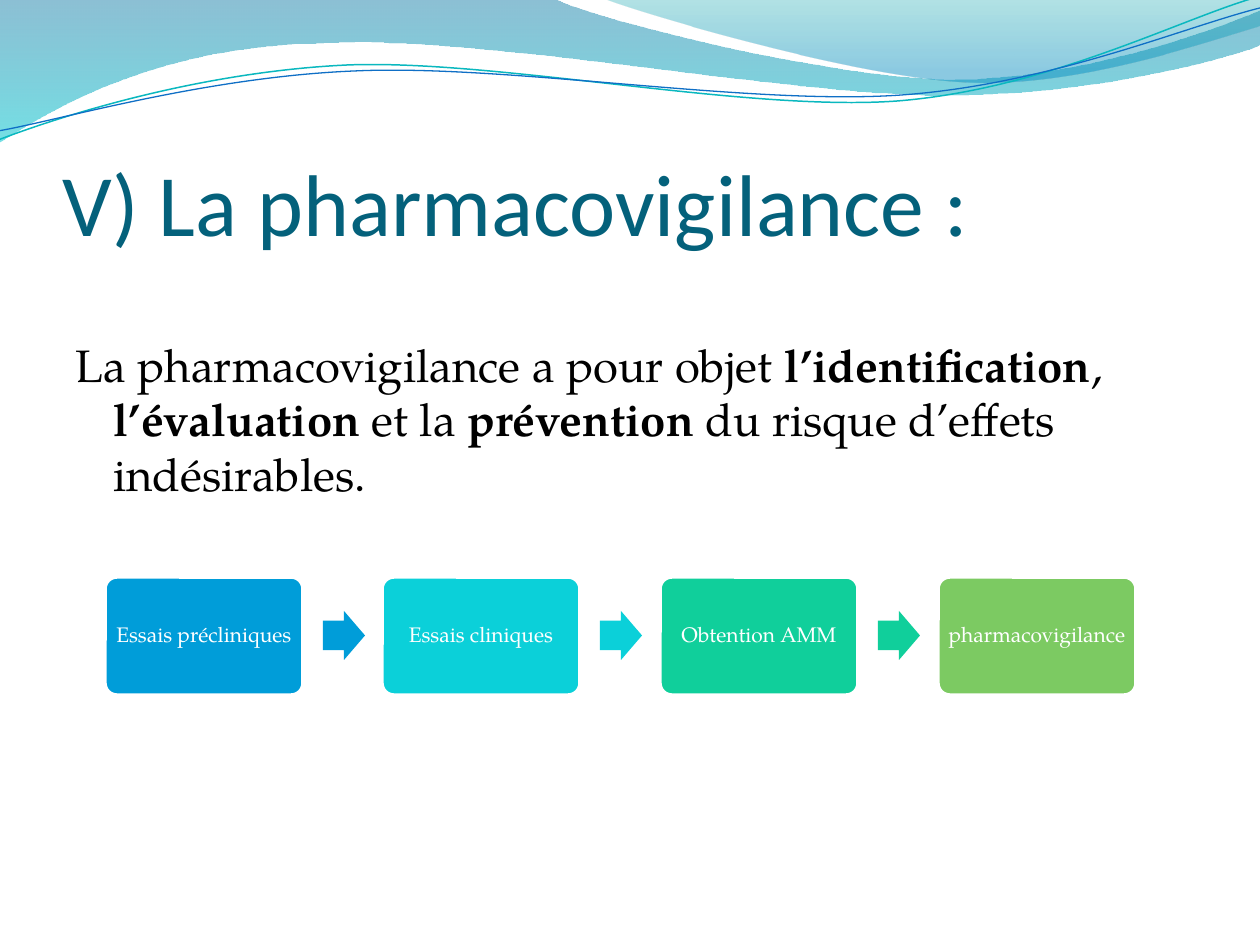
from lxml.etree import SubElement
from pptx import Presentation
from pptx.dml.color import RGBColor
from pptx.enum.shapes import MSO_SHAPE
from pptx.enum.text import MSO_ANCHOR, PP_ALIGN
from pptx.oxml.ns import qn
from pptx.util import Pt

PX = 914400 / 126
WHITE = RGBColor(0xFF, 0xFF, 0xFF)
BLACK = RGBColor(0, 0, 0)
TITLE = RGBColor(0x04, 0x61, 0x7B)
BLUE = RGBColor(0x00, 0x9D, 0xD9)
CYAN = RGBColor(0x0B, 0xD0, 0xD9)
TEAL = RGBColor(0x10, 0xCF, 0x9B)
GREEN = RGBColor(0x7C, 0xCA, 0x62)
SERIF = "TeX Gyre Pagella"

prs = Presentation()
prs.slide_width, prs.slide_height = round(1260 * PX), round(945 * PX)
slide = prs.slides.add_slide(prs.slide_layouts[6])
shapes = slide.shapes


def px(*nums):
    return [round(n * PX) for n in nums]


def curve(start, *parts, close=False):
    """Draw straight parts (one point) and cubic Bezier parts (three points)."""
    pen = shapes.build_freeform(*px(*start))
    for part in parts:
        pts = [px(*part[i:i + 2]) for i in range(0, len(part), 2)]
        pen.add_line_segments(pts, close=close and part is parts[-1])
    shape = pen.convert_to_shape()
    shape.shadow.inherit = False
    # Join each three segments of a cubic part into one Bezier segment
    lines = iter(list(shape.element.spPr.iter(qn("a:lnTo"))))
    for part in parts:
        group = [next(lines) for _ in range(len(part) // 2)]
        if len(group) == 3:
            bend = group[0].makeelement(qn("a:cubicBezTo"))
            group[0].addprevious(bend)
            for line in group:
                bend.append(line[0])
                line.getparent().remove(line)
    return shape


# Header waves: position, colour and opacity of each gradient stop
back = curve((-1, 0), (554, -1), (600, 21, 837, 79, 955, 79),
             (1075, 79, 1207, 33, 1260, 11), (1261, 45),
             (1239, 55, 1096, 96, 940, 95), (784, 95, 481, 35, 324, 43),
             (163, 45, 58, 105, -1, 142), close=True)
front = curve((604, -1), (641, 14, 859, 78, 969, 82),
              (1079, 87, 1211, 40, 1260, 26), (1260, 0), close=True)
fades = [
    (back, [(0, RGBColor(0x00, 0x74, 0xA1), 45), (1, RGBColor(0x00, 0xC6, 0xCF), 55)]),
    (front, [(0, RGBColor(0x00, 0xA1, 0xA9), 30), (0.8, RGBColor(0x00, 0x8B, 0xBF), 45)]),
]
for wave, stops in fades:
    wave.line.fill.background()
    wave.fill.gradient()
    wave.fill.gradient_angle = 270
    for stop, (pos, color, _) in zip(wave.fill.gradient_stops, stops):
        stop.position, stop.color.rgb = pos, color
    tints = list(wave.element.spPr.iter(qn("a:srgbClr")))
    for tint, (_, _, alpha) in zip(tints, stops):
        SubElement(tint, qn("a:alpha"), val=str(alpha * 1000))

# Header lines
upper = curve((-2, 140), (58, 117, 197, 72, 347, 65),
              (496, 59, 745, 112, 897, 101), (1048, 89, 1180, 19, 1257, -3))
lower = curve((-2, 131), (57, 121, 205, 77, 355, 71),
              (506, 64, 751, 106, 902, 95), (1052, 84, 1184, 27, 1260, 8))
for wave, color, width in [(upper, RGBColor(0x0A, 0xB8, 0xBF), 0.85),
                           (lower, RGBColor(0x0F, 0x6F, 0xC6), 0.75)]:
    wave.fill.background()
    wave.line.color.rgb, wave.line.width = color, Pt(width)

# Title
frame = shapes.add_textbox(*px(63, 97, 1134, 157)).text_frame
frame.word_wrap = True
frame.vertical_anchor = MSO_ANCHOR.BOTTOM
frame.margin_left = frame.margin_right = frame.margin_bottom = 0
frame.text = "V) La pharmacovigilance :"
font = frame.paragraphs[0].runs[0].font
font.name, font.size, font.color.rgb = "Calibri", Pt(50), TITLE

# Body with hanging indent
frame = shapes.add_textbox(*px(63, 267, 1134, 605)).text_frame
frame.word_wrap = True
frame.margin_top = px(70)[0]
para = frame.paragraphs[0]
props = para._p.get_or_add_pPr()
props.set("marL", str(px(38)[0]))
props.set("indent", str(px(-38)[0]))
words = ["La pharmacovigilance a pour objet ", "l’identification", ", ",
         "l’évaluation", " et la ", "prévention",
         " du risque d’effets indésirables."]
for i, word in enumerate(words):
    run = para.add_run()
    run.text = word
    font = run.font
    font.name, font.size, font.color.rgb = SERIF, Pt(26), BLACK
    font.bold = i % 2 == 1

# Process steps, each but the last followed by an arrow
steps = [("Essais précliniques", BLUE), ("Essais cliniques", CYAN),
         ("Obtention AMM", TEAL), ("pharmacovigilance", GREEN)]
for i, (label, color) in enumerate(steps):
    left = 105 + 833 * i // 3
    box = shapes.add_shape(MSO_SHAPE.ROUNDED_RECTANGLE, *px(left, 577, 198, 118))
    box.adjustments[0] = 0.1
    box.shadow.inherit = False
    box.fill.solid()
    box.fill.fore_color.rgb = color
    box.line.color.rgb, box.line.width = WHITE, Pt(2)
    frame = box.text_frame
    frame.word_wrap = True
    frame.vertical_anchor = MSO_ANCHOR.MIDDLE
    frame.margin_left = frame.margin_right = px(6)[0]
    frame.text = label
    para = frame.paragraphs[0]
    para.alignment, para.line_spacing = PP_ALIGN.CENTER, 0.9
    font = para.runs[0].font
    font.name, font.size, font.color.rgb = SERIF, Pt(12), WHITE
    if i < len(steps) - 1:
        arrow = shapes.add_shape(MSO_SHAPE.RIGHT_ARROW, *px(left + 218, 611, 42, 49))
        arrow.adjustments[0], arrow.adjustments[1] = 0.6, 0.5
        arrow.shadow.inherit = False
        arrow.fill.solid()
        arrow.fill.fore_color.rgb = color
        arrow.line.fill.background()

prs.save("out.pptx")
